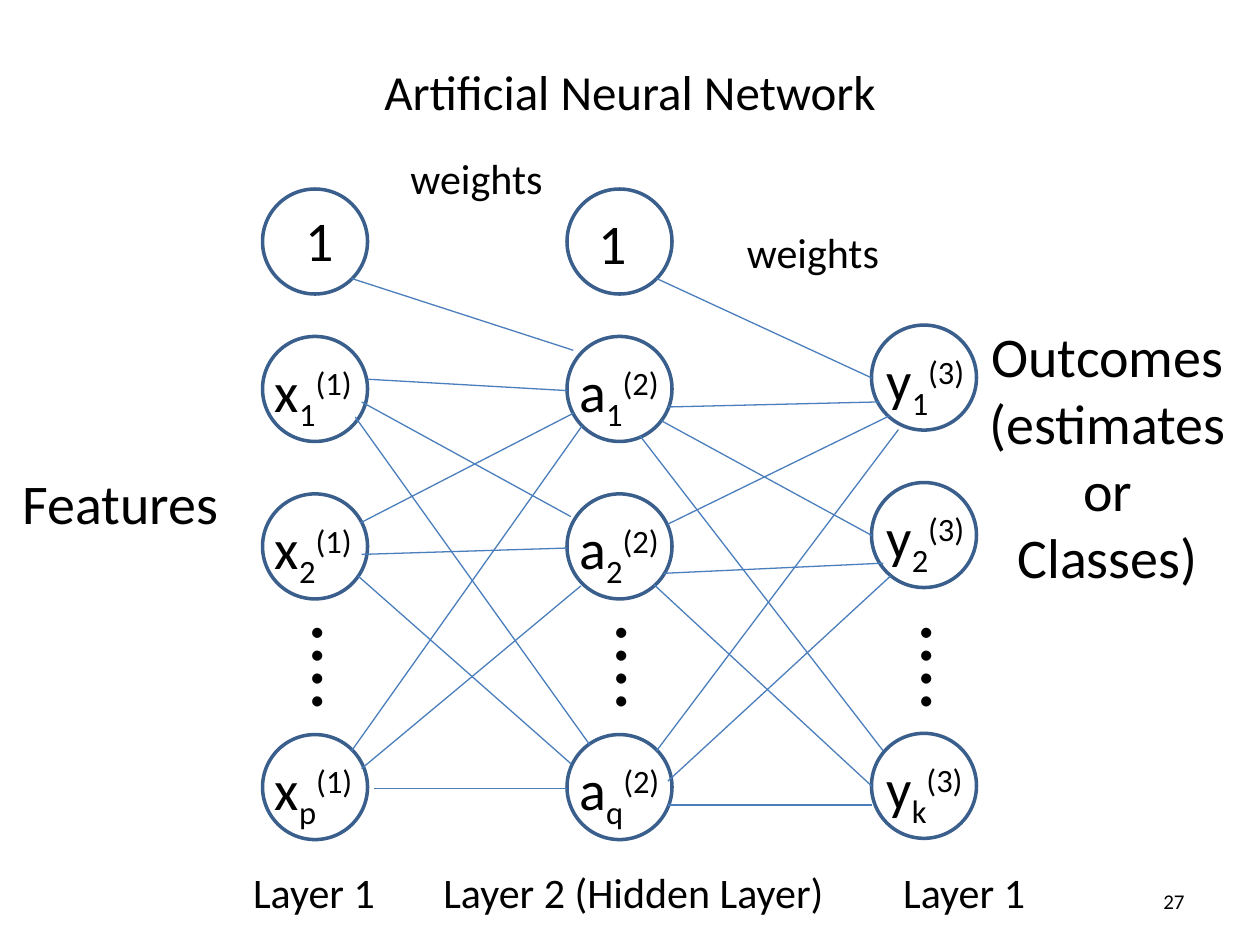
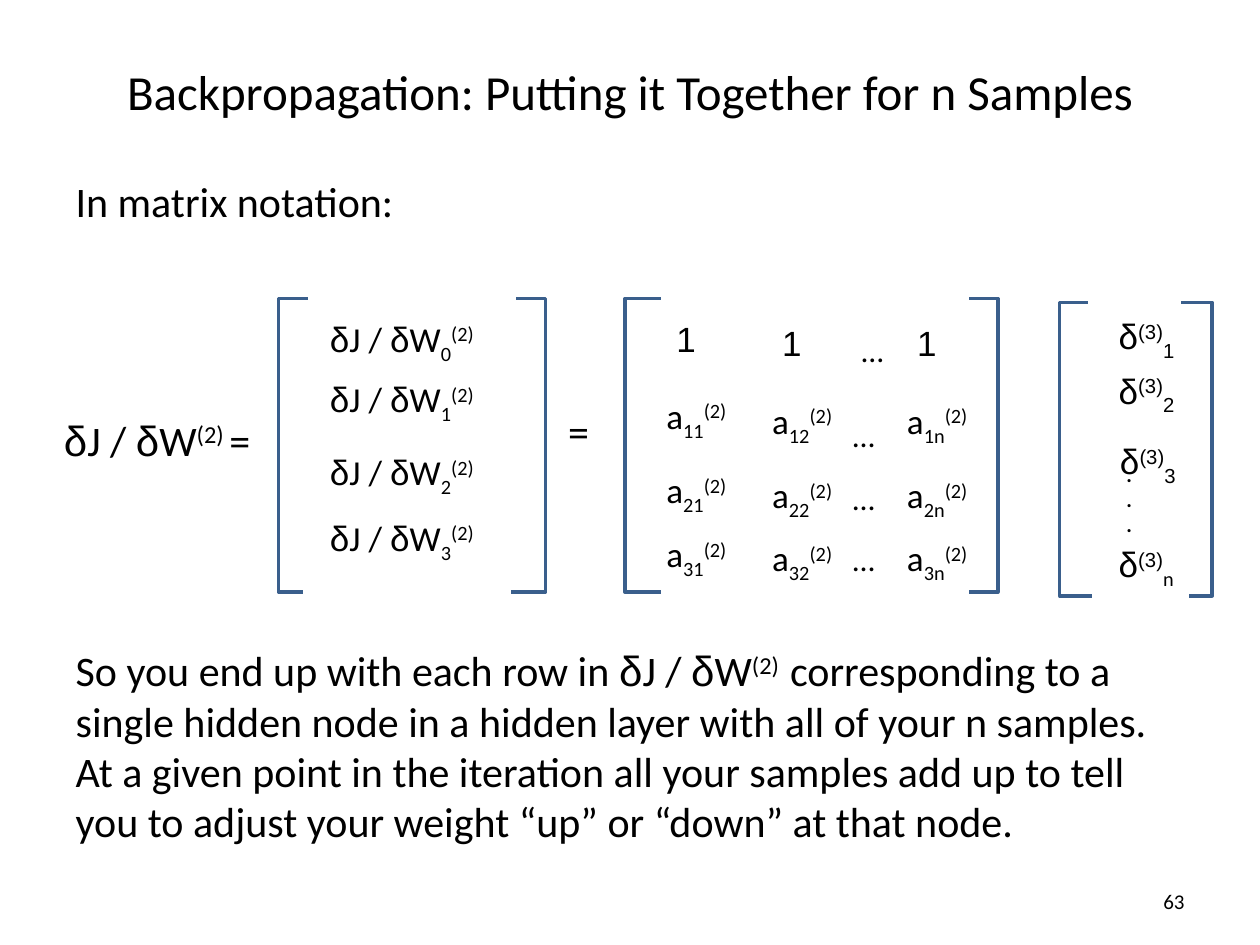
from dataclasses import dataclass
from itertools import groupby

from lxml.etree import SubElement
from pptx import Presentation
from pptx.dml.color import RGBColor
from pptx.enum.shapes import MSO_CONNECTOR as Connector, MSO_SHAPE as Shape
from pptx.enum.text import MSO_ANCHOR as Anchor, MSO_AUTO_SIZE as AutoSize, PP_ALIGN as Align
from pptx.oxml.ns import qn
from pptx.util import Inches, Pt


@dataclass(frozen=True)
class Theme:
    font: str = "Calibri"
    greek: str = "Arial"
    ink: RGBColor = RGBColor(0, 0, 0)
    paper: RGBColor = RGBColor(0xFF, 0xFF, 0xFF)
    outline: RGBColor = RGBColor(0x3A, 0x5F, 0x8C)
    edge: RGBColor = RGBColor(0x4B, 0x7E, 0xBC)
    title: int = 28
    node: int = 32
    text: int = 24
    entry: int = 20
    ellipsis: int = 18
    small: int = 12
    dots: int = 48
    outline_width: float = 2
    edge_width: float = 0.75


THEME = Theme()


@dataclass(frozen=True)
class Box:
    left: float
    top: float
    width: float
    height: float

    def inner(self, dx, dy, width, height):
        return Box(self.left + dx, self.top + dy, width, height)

    def point(self, dx, dy):
        return Inches(self.left + dx), Inches(self.top + dy)

    def lengths(self):
        return [Inches(v) for v in (self.left, self.top, self.width, self.height)]


# Text: a span is a plain string or a (text, baseline, font) triple
def sub(text, font=None):
    return text, -25000, font


def sup(text, font=None):
    return text, 30000, font


def write(para, spans, size, font=THEME.font, bold=False):
    """Add spans to a paragraph; the letter delta always takes the Greek font."""
    for span in spans:
        text, baseline, own_font = (span, 0, None) if isinstance(span, str) else span
        for is_delta, letters in groupby(text, key=lambda letter: letter == "δ"):
            run = para.add_run()
            run.text = "".join(letters)
            run.font.name = THEME.greek if is_delta else own_font or font
            run.font.size = Pt(size)
            run.font.bold = bold
            run.font.color.rgb = THEME.ink
            if baseline:
                run._r.get_or_add_rPr().set("baseline", str(baseline))


def add_text(shapes, box, lines, size, font=THEME.font, align=Align.LEFT,
             wrap=False, bold=False, anchor=Anchor.TOP):
    frame = shapes.add_textbox(*box.lengths()).text_frame
    frame.word_wrap = wrap
    frame.vertical_anchor = anchor
    for index, spans in enumerate(lines):
        para = frame.add_paragraph() if index else frame.paragraphs[0]
        para.alignment = align
        write(para, spans, size, font, bold)


def add_outline(shapes, preset, box, line=THEME.outline, fill=None):
    shape = shapes.add_shape(preset, *box.lengths())
    shape.shadow.inherit = False
    shape.line.color.rgb = line
    shape.line.width = Pt(THEME.outline_width)
    if fill is None:
        shape.fill.background()
    else:
        shape.fill.solid()
        shape.fill.fore_color.rgb = fill


def place(holder, box):
    holder.left, holder.top, holder.width, holder.height = box.lengths()
    holder.text_frame.auto_size = AutoSize.NONE


def start_page(deck, layout, title, number):
    """Add a slide with its title and slide number."""
    page = deck.slides.add_slide(deck.slide_layouts[layout])
    page.background.fill.solid()
    page.background.fill.fore_color.rgb = THEME.paper
    holder = page.shapes.title
    place(holder, Box(0.5, 0.41, 9, 0.62))
    holder.text_frame.vertical_anchor = Anchor.MIDDLE
    para = holder.text_frame.paragraphs[0]
    para.alignment = Align.CENTER
    write(para, [title], THEME.title)
    add_text(page.shapes, Box(7.17, 6.95, 2.33, 0.4), [[number]], THEME.small,
             align=Align.RIGHT, wrap=True, anchor=Anchor.MIDDLE)
    return page


# Neural network
NODE = 5 / 6
LAYER_STEP = 29 / 12
NODE_TOPS = (0.5, 1.67, 2.92, 4.83)
OUTPUT_TOPS = (1.58, 2.83, 4.82)
# Edge ends as x1, y1, x2, y2 within the network box
EDGES = (
    # Layer 1 to layer 2
    (0.79, 1.21, 2.55, 1.78),
    (0.92, 2.01, 2.5, 2.1), (0.87, 2.19, 2.53, 3.1), (0.82, 2.31, 2.68, 4.91),
    (0.86, 3.15, 2.55, 2.28), (0.87, 3.4, 2.5, 3.35), (0.84, 3.57, 2.53, 5.06),
    (0.79, 4.96, 2.62, 2.38), (0.87, 5.1, 2.61, 3.65), (0.97, 5.26, 2.5, 5.26),
    # Layer 2 to outputs
    (3.21, 1.21, 4.92, 2),
    (3.3, 2.23, 4.98, 2.19), (3.25, 2.34, 4.92, 3.25), (3.08, 2.46, 5.01, 4.96),
    (3.3, 3.16, 5.06, 2.3), (3.27, 3.55, 5.01, 3.47), (3.19, 3.64, 4.92, 5.24),
    (3.21, 4.96, 5.13, 2.41), (3.3, 5.2, 5.07, 3.57), (3.3, 5.39, 4.92, 5.39),
)


def add_node(page, box, spans, label):
    group = page.shapes.add_group_shape()
    add_outline(group.shapes, Shape.OVAL, box)
    add_text(group.shapes, box.inner(*label, 0.64), [spans], THEME.node)


def add_layer(page, box, letter, subscripts, level, tops, label_dx=0.0):
    for subscript, top in zip(subscripts, tops):
        add_node(page, box.inner(0, top, NODE, NODE),
                 [letter, sub(subscript), sup(f"({level})")], (label_dx, 0.11, 0.89))
    add_text(page.shapes, box.inner(0.25, 3.78, 0.5, 0.91), [["⁞"]], THEME.dots, wrap=True)


def add_network(page, box):
    columns = [box.inner(2.5 + LAYER_STEP * i, 0, NODE, box.height) for i in (-1, 0, 1)]
    # Bias nodes
    for column, label in zip(columns, ((0.24, 0.08, 0.43), (0.15, 0.11, 0.43))):
        add_node(page, column.inner(0, NODE_TOPS[0], NODE, NODE), ["1"], label)
    # Layers
    add_layer(page, columns[0], "x", "12p", 1, NODE_TOPS[1:])
    add_layer(page, columns[1], "a", "12q", 2, NODE_TOPS[1:])
    add_layer(page, columns[2], "y", "12k", 3, OUTPUT_TOPS, 0.02)
    # Weights
    for x1, y1, x2, y2 in EDGES:
        edge = page.shapes.add_connector(
            Connector.STRAIGHT, *box.point(x1, y1), *box.point(x2, y2))
        edge.line.color.rgb = THEME.edge
        edge.line.width = Pt(THEME.edge_width)
        SubElement(edge._element.spPr, qn("a:effectLst"))


def build_network_page(deck):
    page = start_page(deck, 5, "Artificial Neural Network", "27")
    add_network(page, Box(2, 1, 6, 6))
    # Side captions
    add_text(page.shapes, Box(0.08, 3.67, 1.77, 0.64), [["Features"]], THEME.node)
    add_text(page.shapes, Box(7.75, 2.5, 2.08, 2.26),
             [["Outcomes"], ["(estimates or"], ["Classes)"]],
             THEME.node, align=Align.CENTER, wrap=True)
    # Weight and layer captions
    for left, top, width, caption in (
            (3.16, 1.16, 1.26, "weights"), (5.83, 1.75, 1.26, "weights"),
            (1.91, 6.83, 1.18, "Layer 1"), (3.42, 6.83, 3.25, "Layer 2 (Hidden Layer)"),
            (7.07, 6.83, 1.18, "Layer 1")):
        add_text(page.shapes, Box(left, top, width, 0.5), [[caption]], THEME.text)


# Matrices
def add_brackets(page, box, *gaps):
    """Draw a frame and open its top and bottom edges with paper-coloured gaps."""
    add_outline(page.shapes, Shape.RECTANGLE, box)
    for gap in gaps:
        add_outline(page.shapes, Shape.RECTANGLE, box.inner(*gap), THEME.paper, THEME.paper)


def add_entry(page, box, dx, dy, width, spans, size=THEME.entry, font=THEME.font):
    add_text(page.shapes, box.inner(dx, dy, width, 0.44), [spans], size, font)


def add_gradient_matrix(page, box):
    add_brackets(page, box, (0.25, -0.1, 1.62, 0.2), (0.21, 2.23, 1.62, 0.2))
    for row, top in enumerate((0.1, 0.58, 1.16, 1.68)):
        add_entry(page, box, 0.31, top, 1.35, ["δJ / δW", sub(str(row)), sup("(2)")])


def add_activation_matrix(page, box):
    add_brackets(page, box, (0.3, -0.1, 2.42, 0.18), (0.3, 2.22, 2.42, 0.26))
    first_tops, other_tops = (0.1, 0.71, 1.3, 1.81), (0.13, 0.75, 1.34, 1.84)
    for sample, left, tops in (("1", 0.23, first_tops), ("2", 1.07, other_tops),
                               ("n", 2.14, other_tops)):
        add_entry(page, box, left + 0.08, tops[0], 0.34, ["1"], font=THEME.greek)
        for row, top in enumerate(tops[1:], 1):
            add_entry(page, box, left, top, 0.73, ["a", sub(f"{row}{sample}"), sup("(2)")])
    for left, top in ((1.78, 0.21), (1.71, 0.88), (1.71, 1.38), (1.71, 1.87)):
        add_entry(page, box, left, top, 0.38, ["…"], THEME.ellipsis)


def add_delta_vector(page, box):
    add_brackets(page, box, (0.24, -0.15, 0.71, 0.24), (0.27, 2.18, 0.74, 0.27))
    for sample, left, top, font in (
            ("1", 0.37, 0.05, THEME.greek), ("2", 0.37, 0.48, THEME.greek),
            ("3", 0.38, 1.04, THEME.greek), ("n", 0.37, 1.86, THEME.font)):
        add_entry(page, box, left, top, 0.65, ["δ", sup("(3)"), sub(sample, font)],
                  font=THEME.greek)
    add_text(page.shapes, box.inner(0.43, 1.21, 0.25, 0.71), [["."]] * 3,
             THEME.small, bold=True)


def fill_body(holder, box, paragraphs):
    """Write unbulleted paragraphs, each given as (space before, spans)."""
    place(holder, box)
    frame = holder.text_frame
    for index, (space, spans) in enumerate(paragraphs):
        para = frame.add_paragraph() if index else frame.paragraphs[0]
        para.space_before = Pt(space)
        props = para._p.get_or_add_pPr()
        props.set("marL", "0")
        props.set("indent", "0")
        SubElement(props, qn("a:buNone"))
        write(para, spans, THEME.text)


def build_matrix_page(deck):
    page = start_page(deck, 1, "Backpropagation: Putting it Together for n Samples", "63")
    fill_body(page.placeholders[1], Box(0.5, 1.34, 9, 5.37), (
        (4.8, ["In matrix notation:"]),
        (239.5, ["So you end up with each row in δJ / δW", sup("(2)  "),
                 "corresponding to a single hidden node in a hidden layer with all of "
                 "your n samples. At a given point in the iteration all your samples add "
                 "up to tell you to adjust your weight “up” or “down” at that node."]),
    ))
    # Equation
    add_text(page.shapes, Box(0.41, 3.24, 1.74, 0.5),
             [["δJ / δW", sup("(2) "), "="]], THEME.text)
    add_gradient_matrix(page, Box(2.21, 2.37, 2.12, 2.33))
    add_text(page.shapes, Box(4.41, 3.17, 0.42, 0.5), [["="]], THEME.text)
    add_activation_matrix(page, Box(4.96, 2.37, 2.96, 2.33))
    add_delta_vector(page, Box(8.41, 2.4, 1.21, 2.33))


def main():
    deck = Presentation()
    deck.slide_width, deck.slide_height = Inches(10), Inches(7.5)
    build_network_page(deck)
    build_matrix_page(deck)
    deck.save("out.pptx")


if __name__ == "__main__":
    main()
